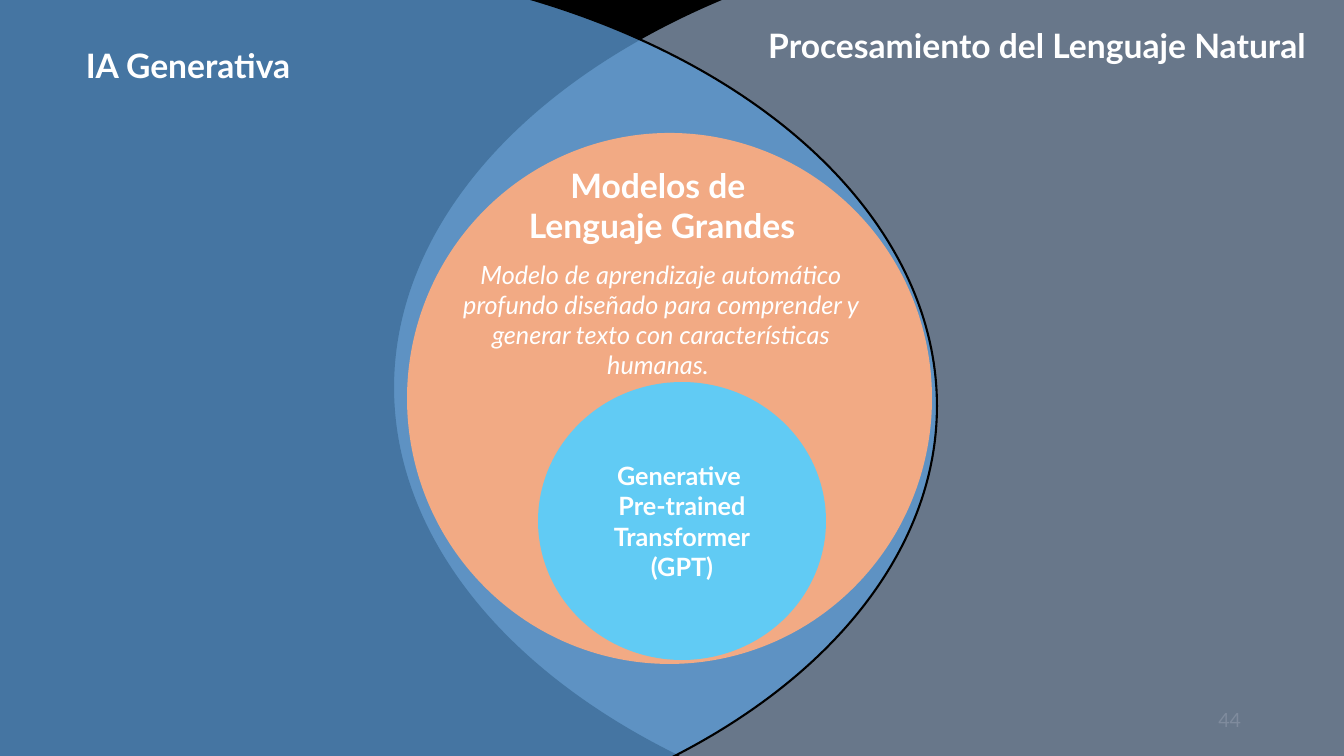
import lxml.etree
import pptx
import pptx.dml.color
import pptx.enum.shapes
import pptx.enum.text
import pptx.oxml.ns
import pptx.util

PX = 9144000 / 1008  # EMU in one px
SHAPES = pptx.enum.shapes.MSO_SHAPE
ALIGN = pptx.enum.text.PP_ALIGN


def color(hex_string):
    return pptx.dml.color.RGBColor.from_string(hex_string)


def write(box, lines, size, bold=False, italic=False, tint="FFFFFF", align=ALIGN.CENTER):
    frame = box.text_frame
    frame.word_wrap = True
    for index, line in enumerate(lines):
        para = frame.paragraphs[0] if index == 0 else frame.add_paragraph()
        para.alignment = align
        span = para.add_run()
        span.text = line
        span.font.name = "Lato"
        span.font.size = pptx.util.Pt(size)
        span.font.bold = bold
        span.font.italic = italic
        span.font.color.rgb = color(tint)


deck = pptx.Presentation()
deck.slide_width = round(1344 * PX)
deck.slide_height = round(756 * PX)
page = deck.slides.add_slide(deck.slide_layouts[6])

# Black backdrop and nested sets: kind, place, fill, opacity in %, outlined
sets = [
    (SHAPES.RECTANGLE, (-36, 0, 1381, 810), "000000", 100, False),
    (SHAPES.OVAL, (393, -78, 1463, 931), "8497B0", 79, True),
    (SHAPES.OVAL, (-460, -42, 1397, 896), "5B9BD5", 76, True),
    (SHAPES.OVAL, (407, 133, 525, 531), "F2AA84", 100, False),
    (SHAPES.OVAL, (538, 382, 288, 278), "61CBF4", 100, False),
]
for kind, place, fill, opacity, outlined in sets:
    shape = page.shapes.add_shape(kind, *[round(length * PX) for length in place])
    shape.shadow.inherit = False
    shape.fill.solid()
    shape.fill.fore_color.rgb = color(fill)
    if opacity < 100:
        tone = shape._element.spPr.find(".//" + pptx.oxml.ns.qn("a:srgbClr"))
        alpha = lxml.etree.SubElement(tone, pptx.oxml.ns.qn("a:alpha"))
        alpha.set("val", str(opacity * 1000))
    if outlined:
        shape.line.color.rgb = color("000000")
        shape.line.width = pptx.util.Pt(1.5)
    else:
        shape.line.fill.background()

# The innermost set carries its own label
shape.text_frame.vertical_anchor = pptx.enum.text.MSO_ANCHOR.MIDDLE
write(shape, ["Generative ", "Pre-trained Transformer", "(GPT)"], 18, bold=True)

# Titles, definition and page number: place, lines, text format
labels = [
    ((720, 20, 634, 50), ["Procesamiento del Lenguaje Natural"], dict(size=24, bold=True)),
    ((-333, 40, 1042, 50), ["IA Generativa"], dict(size=24, bold=True)),
    ((345, 160, 634, 92), ["Modelos de ", "Lenguaje Grandes"], dict(size=24, bold=True)),
    ((433, 254, 456, 132),
     ["Modelo de aprendizaje automático profundo diseñado para comprender "
      "y generar texto con características humanas. "], dict(size=18, italic=True)),
    ((1150, 703, 101, 36), ["44"], dict(size=14, tint="7F8B9D", align=ALIGN.RIGHT)),
]
for place, lines, text_format in labels:
    box = page.shapes.add_textbox(*[round(length * PX) for length in place])
    box.text_frame.auto_size = pptx.enum.text.MSO_AUTO_SIZE.SHAPE_TO_FIT_TEXT
    write(box, lines, **text_format)

deck.save("out.pptx")
